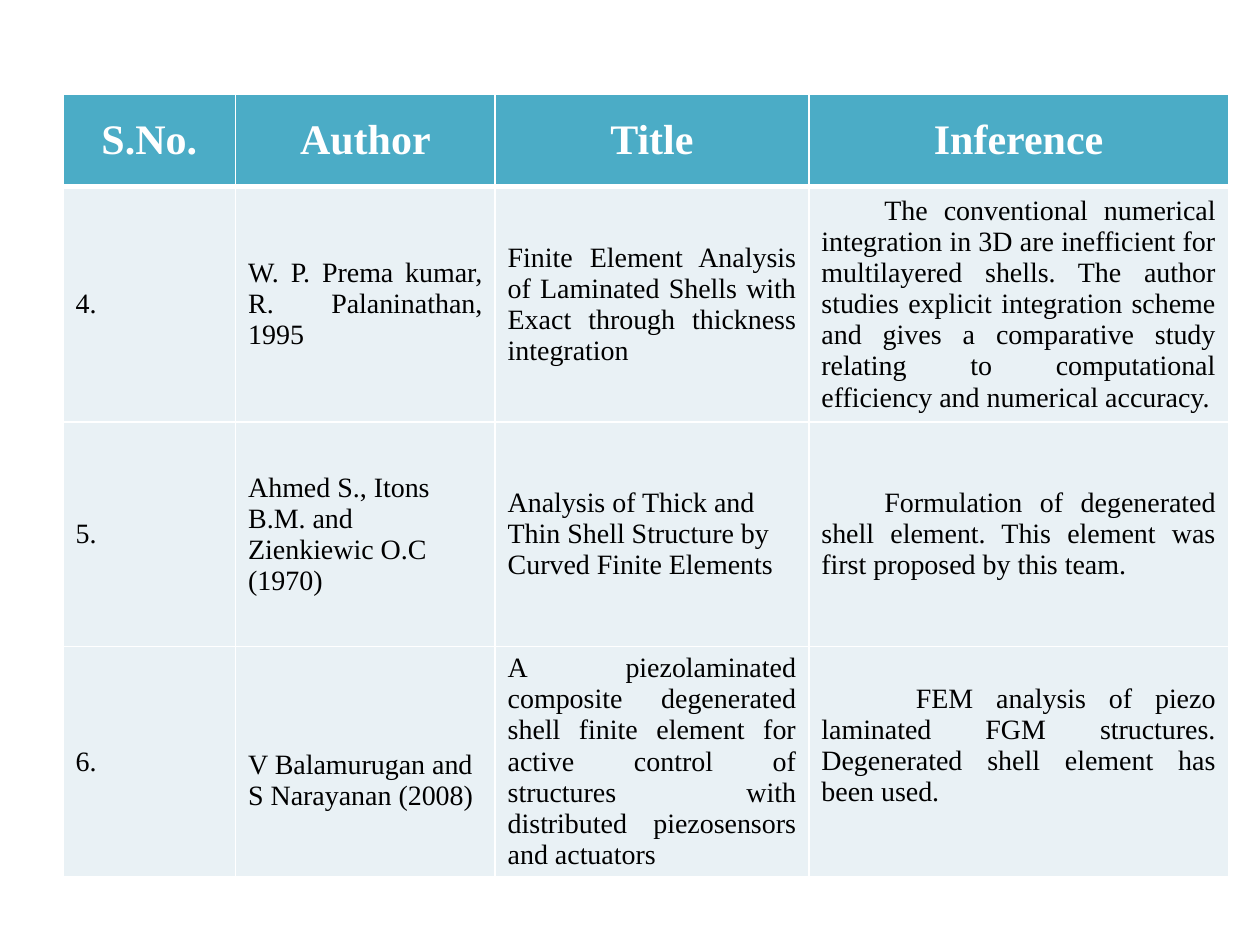
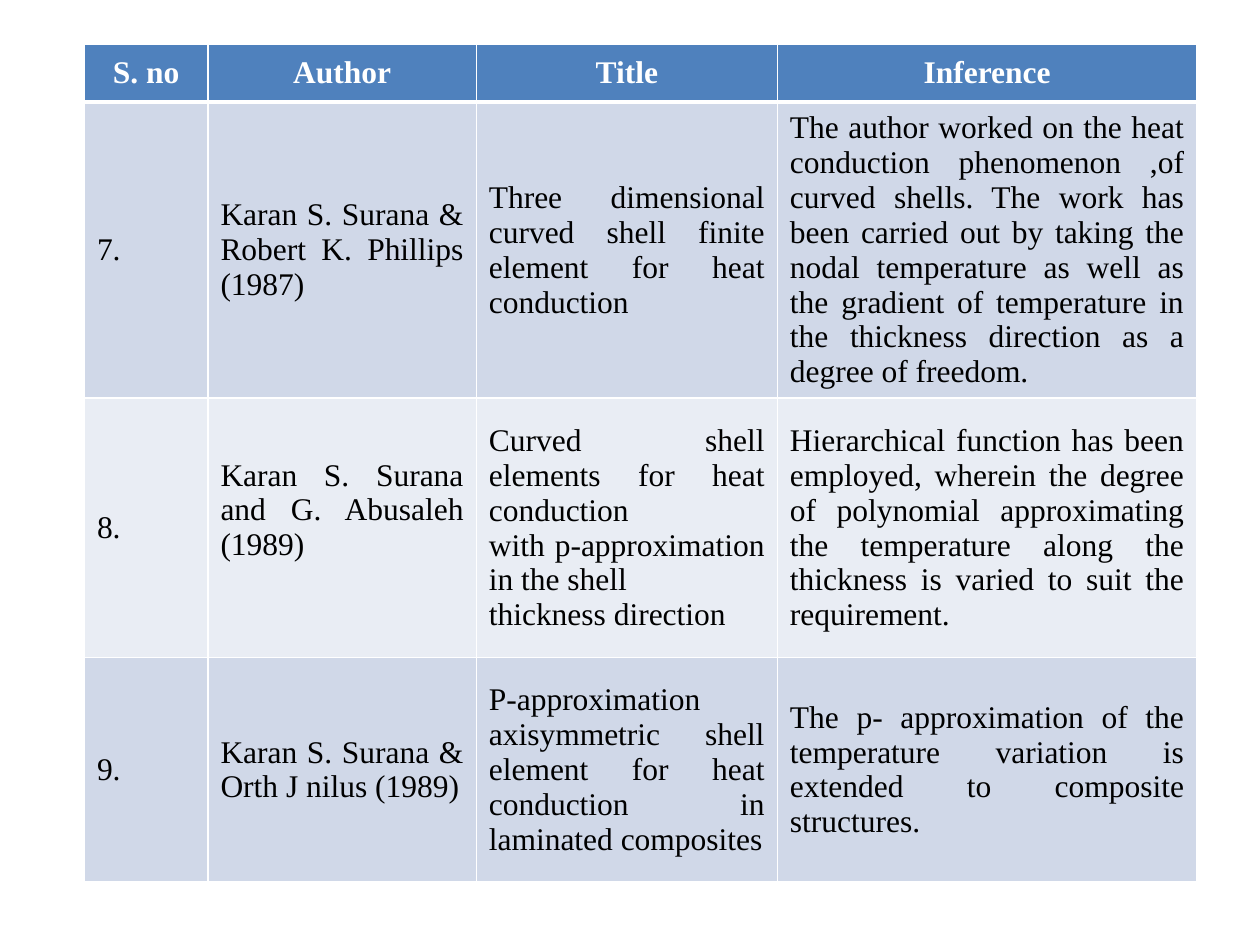
"""Build two literature review slides, each holding one table of papers."""
from lxml import etree
from pptx import Presentation
from pptx.dml.color import RGBColor
from pptx.enum.text import MSO_ANCHOR, PP_ALIGN
from pptx.oxml.ns import qn
from pptx.util import Inches, Pt

MID = MSO_ANCHOR.MIDDLE
LEFT, CENTER, JUST = PP_ALIGN.LEFT, PP_ALIGN.CENTER, PP_ALIGN.JUSTIFY

THEME = {
    "font": "Times New Roman", "white": "FFFFFF", "black": "000000",
    "teal": "4BACC6", "ice": "E9F1F5",
    "blue": "4F81BD", "mist": "D0D8E8", "pale": "E9EDF4",
    "large": 24, "mid": 18, "small": 16, "thin": 1, "thick": 3,
}

TABLES = [
    {
        "at": (0.5, 0.75), "cols": (1.37, 2.06, 2.49, 3.33),
        "rows": (0.73, 1.87, 1.78, 1.83),
        "head": "teal", "bands": ("ice", "ice"), "sizes": ("large", "small"),
        "left": {(2, 1), (2, 2), (3, 1)},
        "indent": {(1, 3): 0.5, (2, 3): 0.5, (3, 3): 0.75},
        "top": {(3, 1): 0.35}, "bottom": {(3, 3): 0.3},
        "text": [
            ("S.No.", "Author", "Title", "Inference"),
            ("4.", "W. P. Prema kumar, R. Palaninathan, 1995",
             "Finite Element Analysis of Laminated Shells with Exact through "
             "thickness integration",
             "The conventional numerical integration in 3D are inefficient for "
             "multilayered shells. The author studies explicit integration scheme "
             "and gives a comparative study relating to computational efficiency "
             "and numerical accuracy."),
            ("5.", "Ahmed S., Itons B.M. and Zienkiewic O.C (1970)",
             "Analysis of Thick and Thin Shell Structure by Curved Finite Elements",
             "Formulation of degenerated shell element. This element was first "
             "proposed by this team."),
            ("6.", "V Balamurugan and S Narayanan (2008)",
             "A piezolaminated composite degenerated shell finite element for "
             "active control of structures with distributed piezosensors and "
             "actuators",
             "FEM analysis of piezo laminated FGM structures. Degenerated shell "
             "element has been used."),
        ],
    },
    {
        "at": (0.67, 0.35), "cols": (0.98, 2.13, 2.39, 3.33),
        "rows": (0.46, 2.35, 2.06, 1.78),
        "head": "blue", "bands": ("mist", "pale"), "sizes": ("mid", "mid"),
        "left": set(), "indent": {}, "top": {}, "bottom": {(2, 1): 0.33},
        "text": [
            ("S. no", "Author", "Title", "Inference"),
            ("7.", "Karan S. Surana & Robert K. Phillips (1987)",
             "Three dimensional curved shell finite element for heat conduction",
             "The author worked on the heat conduction phenomenon ,of curved "
             "shells. The work has been carried out by taking the nodal "
             "temperature as well as the gradient of temperature in the thickness "
             "direction as a degree of freedom."),
            ("8.", "Karan S. Surana and G. Abusaleh (1989)",
             "Curved shell elements for heat conduction\n"
             "with p-approximation in the shell\nthickness direction",
             "Hierarchical function has been employed, wherein the degree of "
             "polynomial approximating the temperature along the thickness is "
             "varied to suit the requirement."),
            ("9.", "Karan S. Surana & Orth J nilus (1989)",
             "P-approximation axisymmetric shell element for heat conduction in "
             "laminated composites",
             "The p- approximation of the temperature variation is extended to "
             "composite structures."),
        ],
    },
]


def color(name):
    return RGBColor.from_string(THEME[name])


def border(cell, row):
    props = cell._tc.get_or_add_tcPr()
    for side in "LRTB":
        heavy = (row, side) in ((0, "B"), (1, "T"))
        width = Pt(THEME["thick" if heavy else "thin"])
        line = etree.SubElement(props, qn(f"a:ln{side}"), w=str(width))
        fill = etree.SubElement(line, qn("a:solidFill"))
        etree.SubElement(fill, qn("a:srgbClr"), val=THEME["white"])


deck = Presentation()
deck.slide_width, deck.slide_height = Inches(10), Inches(7.5)
blank = deck.slide_layouts[6]

for data in TABLES:
    slide = deck.slides.add_slide(blank)
    cols, rows = data["cols"], data["rows"]
    x, y = data["at"]
    table = slide.shapes.add_table(
        len(rows), len(cols), Inches(x), Inches(y),
        Inches(sum(cols)), Inches(sum(rows))).table
    table.horz_banding = False
    for col, width in zip(table.columns, cols):
        col.width = Inches(width)
    for row, height in zip(table.rows, rows):
        row.height = Inches(height)

    for r, line in enumerate(data["text"]):
        head = r == 0
        for c, text in enumerate(line):
            key = (r, c)
            cell = table.cell(r, c)
            cell.text = text
            cell.vertical_anchor = MID
            cell.margin_top = Inches(data["top"].get(key, 0.05))
            cell.margin_bottom = Inches(data["bottom"].get(key, 0.05))
            border(cell, r)
            cell.fill.solid()
            cell.fill.fore_color.rgb = color(
                data["head"] if head else data["bands"][(r - 1) % 2])
            for para in cell.text_frame.paragraphs:
                para.alignment = (CENTER if head
                                  else LEFT if key in data["left"] else JUST)
                if key in data["indent"]:
                    shift = Inches(data["indent"][key])
                    para._p.get_or_add_pPr().set("indent", str(shift))
                font = para.font
                font.name = THEME["font"]
                font.size = Pt(THEME[data["sizes"][0 if head else 1]])
                font.bold = head
                font.color.rgb = color("white" if head else "black")

deck.save("out.pptx")
